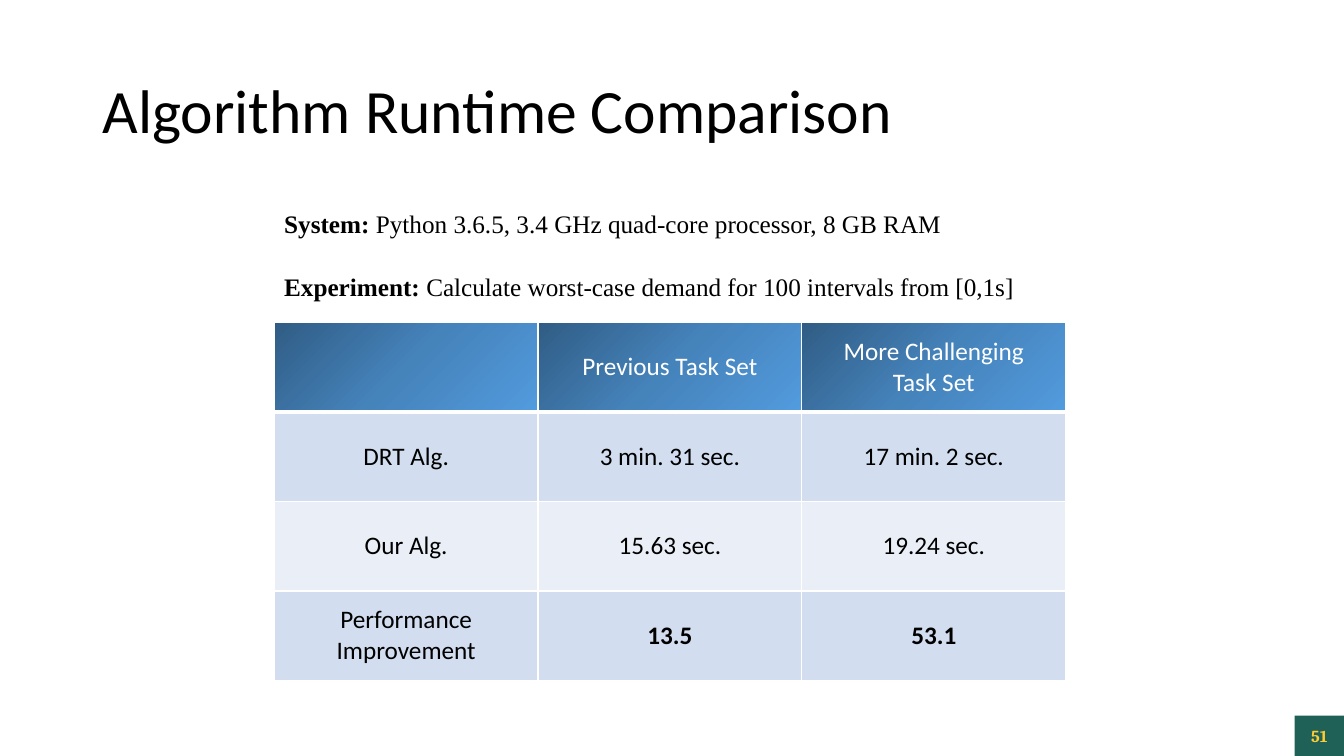
from lxml.etree import SubElement
from pptx import Presentation
from pptx.dml.color import RGBColor
from pptx.enum.shapes import MSO_SHAPE
from pptx.enum.text import MSO_ANCHOR, PP_ALIGN
from pptx.oxml import parse_xml
from pptx.oxml.ns import nsdecls, qn
from pptx.util import Inches, Pt

WIDE, HIGH = 13.33, 7.5
BLACK = RGBColor(0x00, 0x00, 0x00)
WHITE = RGBColor(0xFF, 0xFF, 0xFF)
GREEN = RGBColor(0x1F, 0x61, 0x57)
GOLD = RGBColor(0xFF, 0xCC, 0x33)
BANDS = [RGBColor(0xD2, 0xDE, 0xEF), RGBColor(0xEA, 0xEF, 0xF7)]
SHADES = [
    (0, RGBColor(0x30, 0x5C, 0x84)),
    (50, RGBColor(0x45, 0x83, 0xBB)),
    (100, RGBColor(0x52, 0x9B, 0xDE)),
]

HEAD = {"name": "Calibri", "size": Pt(44)}
NOTE = {"name": "Times New Roman", "size": Pt(18)}
CELL = {"name": "Calibri", "size": Pt(18)}
PAGE = {"name": "Cambria", "size": Pt(12), "bold": True}

FACTS = [
    ("System:", " Python 3.6.5, 3.4 GHz quad-core processor, 8 GB RAM"),
    ("Experiment:", " Calculate worst-case demand for 100 intervals from [0,1s]"),
]
ROWS = [
    ["", "Previous Task Set", "More Challenging\nTask Set"],
    ["DRT Alg.", "3 min. 31 sec.", "17 min. 2 sec."],
    ["Our Alg.", "15.63 sec.", "19.24 sec."],
    ["Performance Improvement", "13.5", "53.1"],
]


def style(font, form, color):
    for key, value in form.items():
        setattr(font, key, value)
    font.color.rgb = color


def text_box(slide, box):
    frame = slide.shapes.add_textbox(*map(Inches, box)).text_frame
    frame.word_wrap = True
    return frame


def add_title(slide, box):
    frame = text_box(slide, box)
    frame.vertical_anchor = MSO_ANCHOR.MIDDLE
    para = frame.paragraphs[0]
    para.line_spacing = 0.9
    run = para.add_run()
    run.text = "Algorithm Runtime Comparison"
    style(run.font, HEAD, BLACK)


def add_facts(slide, box):
    frame = text_box(slide, box)
    for i, fact in enumerate(FACTS):
        para = frame.add_paragraph() if i else frame.paragraphs[0]
        if i:
            para.space_before = Pt(23)
        for part, bold in zip(fact, (True, False)):
            run = para.add_run()
            run.text = part
            style(run.font, NOTE | {"bold": bold}, BLACK)


def edge(cell, head):
    """White cell borders, thicker below the header."""
    props = cell._tc.get_or_add_tcPr()
    for i, side in enumerate("LRTB"):
        wide = 3 if head and side == "B" else 1
        props.insert(i, parse_xml(
            f'<a:ln{side} {nsdecls("a")} w="{Pt(wide)}"><a:solidFill>'
            f'<a:srgbClr val="{WHITE}"/></a:solidFill></a:ln{side}>'))


def shade(cell):
    """Diagonal three-stop gradient."""
    grad = SubElement(cell._tc.get_or_add_tcPr(), qn("a:gradFill"))
    stops = SubElement(grad, qn("a:gsLst"))
    for share, color in SHADES:
        stop = SubElement(stops, qn("a:gs"), pos=str(share * 1000))
        SubElement(stop, qn("a:srgbClr"), val=str(color))
    SubElement(grad, qn("a:lin"), ang=str(45 * 60000), scaled="0")


def add_times(slide, box):
    count = len(ROWS)
    table = slide.shapes.add_table(
        count, len(ROWS[0]), *map(Inches, box)).table
    for r, row in enumerate(ROWS):
        table.rows[r].height = Inches(box[3] / count)
        for c, words in enumerate(row):
            cell = table.cell(r, c)
            cell.vertical_anchor = MSO_ANCHOR.MIDDLE
            edge(cell, r == 0)
            if r:
                cell.fill.solid()
                cell.fill.fore_color.rgb = BANDS[(r - 1) % 2]
            else:
                shade(cell)
            cell.text = words
            bold = r == count - 1 and c > 0
            for para in cell.text_frame.paragraphs:
                para.alignment = PP_ALIGN.CENTER
                style(para.font, CELL | {"bold": bold}, BLACK if r else WHITE)
                for run in para.runs:
                    style(run.font, CELL | {"bold": bold}, BLACK if r else WHITE)


def add_page(slide, box):
    badge = slide.shapes.add_shape(MSO_SHAPE.RECTANGLE, *map(Inches, box))
    badge.shadow.inherit = False
    badge.fill.solid()
    badge.fill.fore_color.rgb = GREEN
    badge.line.fill.background()
    frame = badge.text_frame
    frame.vertical_anchor = MSO_ANCHOR.MIDDLE
    para = frame.paragraphs[0]
    para.alignment = PP_ALIGN.CENTER
    run = para.add_run()
    run.text = "51"
    style(run.font, PAGE, GOLD)


def main():
    deck = Presentation()
    deck.slide_width, deck.slide_height = Inches(WIDE), Inches(HIGH)
    slide = deck.slides.add_slide(deck.slide_layouts[6])
    left, width = 2.72, 7.85
    add_title(slide, (0.92, 0.4, 11.5, 1.45))
    add_times(slide, (left, 3.2, width, 3.55))
    add_facts(slide, (left, 2.02, width, 1.01))
    add_page(slide, (WIDE - 0.49, HIGH - 0.4, 0.49, 0.4))
    deck.save("out.pptx")


if __name__ == "__main__":
    main()
